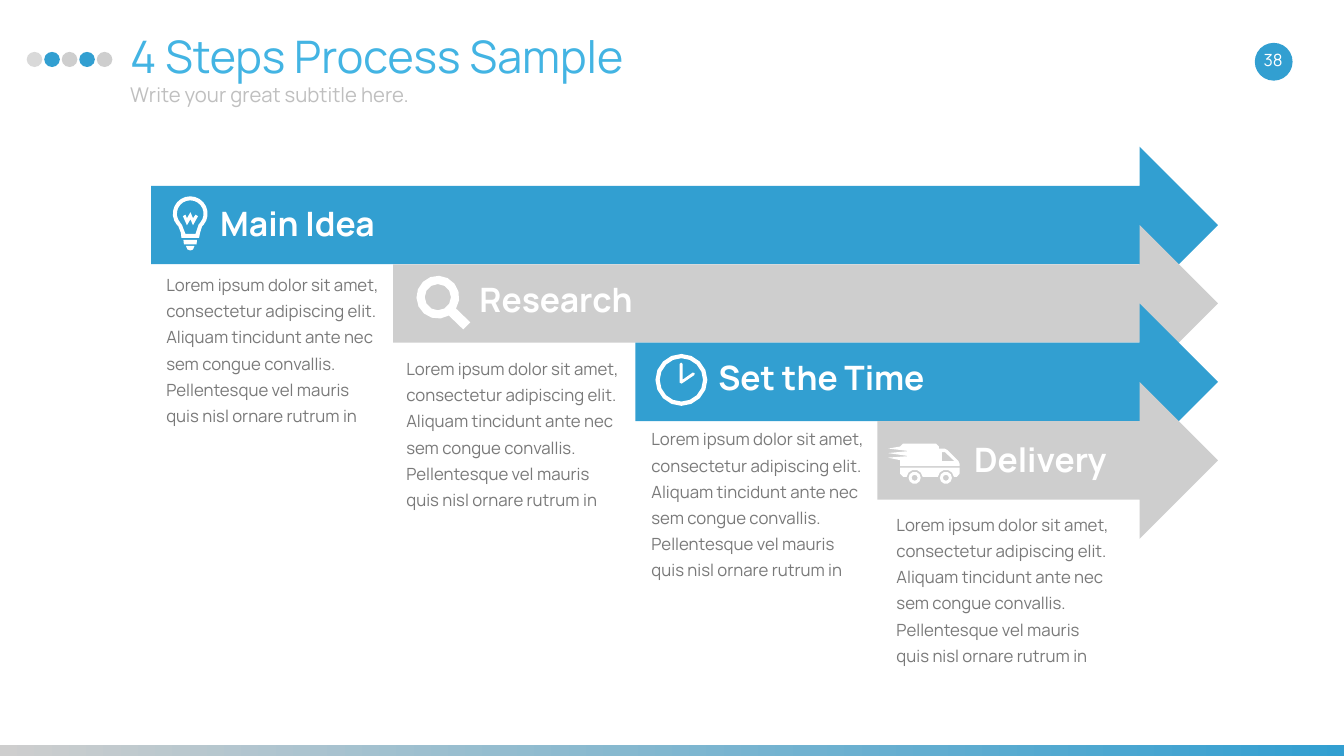
from dataclasses import dataclass
from math import cos, radians, sin

from pptx import Presentation
from pptx.dml.color import RGBColor
from pptx.enum import shapes, text
from pptx.util import Inches, Pt


@dataclass(frozen=True)
class Theme:
    font: str = "Manrope"
    blue: str = "329FD1"
    gray: str = "CECECE"
    pale: str = "D9D9D9"
    white: str = "FFFFFF"
    title: str = "43B4E3"
    subtitle: str = "BFBFBF"
    body: str = "797979"
    title_size: int = 64
    heading_size: int = 48
    subtitle_size: int = 29
    body_size: int = 24


T = Theme()
LOREM = ("Lorem ipsum dolor sit amet, consectetur adipiscing elit. Aliquam tincidunt ante nec "
         "sem congue convallis. Pellentesque vel mauris quis nisl ornare rutrum in")


def paint(sp, color):
    sp.shadow.inherit = False
    sp.fill.solid()
    sp.fill.fore_color.rgb = RGBColor.from_string(color)
    sp.line.fill.background()


def add_preset(s, kind, box, color):
    sp = s.shapes.add_shape(kind, *map(Inches, box))
    paint(sp, color)
    return sp


def add_text(s, box, words, size, color, bold=None, middle=True, center=False,
             pad=0.13, spacing=None, grow=False):
    tf = s.shapes.add_textbox(*map(Inches, box)).text_frame
    tf.word_wrap = True
    tf.auto_size = text.MSO_AUTO_SIZE.SHAPE_TO_FIT_TEXT if grow else text.MSO_AUTO_SIZE.NONE
    tf.vertical_anchor = text.MSO_ANCHOR.MIDDLE if middle else text.MSO_ANCHOR.TOP
    tf.margin_left = tf.margin_right = Inches(0.27)
    tf.margin_top = tf.margin_bottom = Inches(pad)
    p = tf.paragraphs[0]
    p.text = words
    p.alignment = text.PP_ALIGN.CENTER if center else text.PP_ALIGN.LEFT
    p.line_spacing = spacing
    p.font.name, p.font.size, p.font.bold = T.font, Pt(size), bold
    p.font.color.rgb = RGBColor.from_string(color)


def arc(cx, cy, r, start=0, end=360, steps=16):
    """Points along an arc, in clockwise degrees from the right; a full circle has no repeat."""
    count = steps if end - start == 360 else steps + 1
    angles = [radians(start + (end - start) * i / steps) for i in range(count)]
    return [(cx + r * cos(a), cy + r * sin(a)) for a in angles]


def add_icon(s, x, y, contours):
    """One white outline; inner contours become holes."""
    placed = [[(Inches(x + px), Inches(y + py)) for px, py in c] for c in contours]
    builder = s.shapes.build_freeform(*placed[0][0])
    for i, points in enumerate(placed):
        if i:
            builder.move_to(*points[0])
        builder.add_line_segments(points[1:], close=True)
    paint(builder.convert_to_shape(), T.white)


def bulb():
    cx, cy = 0.345, 0.35
    return [
        arc(cx, cy, 0.345, 140, 400) + [(0.58, 0.6), (0.54, 0.73), (0.52, 0.83),
                                        (0.17, 0.83), (0.16, 0.73), (0.11, 0.6)],
        arc(cx, cy, 0.265, 140, 400) + [(0.51, 0.57), (0.45, 0.75), (0.25, 0.75), (0.18, 0.57)],
        [(0.22, 0.96), (0.47, 0.96), (0.48, 0.87), (0.21, 0.87)],
        [(0.26, 0.99), (0.43, 0.99), (0.4, 1.06), (0.35, 1.08), (0.29, 1.06)],
        [(0.4, 0.44), (0.35, 0.32), (0.28, 0.44), (0.25, 0.37), (0.2, 0.4), (0.28, 0.58),
         (0.35, 0.46), (0.4, 0.58), (0.5, 0.4), (0.45, 0.37)],
    ]


def magnifier():
    cx, cy = 0.425, 0.42
    return [arc(cx, cy, 0.425, 59, 392, 14) + [(1.07, 0.92), (0.93, 1.06)],
            arc(cx, cy, 0.26, steps=12)]


def clock():
    c = 0.515
    hands = [(0.48, 0.2), (0.51, 0.17), (0.54, 0.2), (0.54, 0.51), (0.74, 0.37),
             (0.78, 0.38), (0.77, 0.42), (0.52, 0.59), (0.48, 0.57)]
    return [arc(c, c, 0.515), arc(c, c, 0.43), hands]


def truck():
    rear, front, axle = 0.53, 1.15, 0.68
    chassis = [(1.42, 0.48), (1.42, 0.6), (1.37, 0.66)]
    for wheel in (front, rear):
        chassis += arc(wheel, axle, 0.16, 353, 187, 5)
    chassis += [(0.3, 0.66), (0.24, 0.6), (0.24, 0.48)]
    cab = [(1.4, 0.35), (1.18, 0.13), (1.12, 0.1), (1.01, 0.1), (1.01, 0.06), (0.95, 0),
           (0.3, 0), (0.24, 0.06), (0.01, 0.1), (0.42, 0.15), (0, 0.19), (0.42, 0.25),
           (0, 0.28), (0.24, 0.33), (0.24, 0.45), (1.42, 0.45), (1.42, 0.4)]
    window = [(1.07, 0.17), (1.13, 0.17), (1.31, 0.34), (1.3, 0.35), (1.07, 0.35)]
    wheels = [arc(x, axle, r, steps=n) for x in (rear, front) for r, n in ((0.12, 10), (0.06, 8))]
    return [cab, window, chassis] + wheels


def add_header(s, x, y):
    dots = (T.pale, T.blue, T.gray, T.blue, T.gray)
    for i, color in enumerate(dots):
        add_preset(s, shapes.MSO_SHAPE.OVAL, (x + 0.3475 * i, y + 0.62, 0.31, 0.3), color)
    add_text(s, (x + 1.78, y + 0.02, 21.25, 1.6), "4 Steps Process Sample",
             T.title_size, T.title, middle=False)
    add_text(s, (x + 1.78, y + 1.09, 21.25, 0.85), "Write your great subtitle here.",
             T.subtitle_size, T.subtitle, middle=False)


def add_page_number(s, x, y):
    add_preset(s, shapes.MSO_SHAPE.OVAL, (x, y, 0.75, 0.75), T.blue)
    add_text(s, (x - 0.22, y - 0.07, 1.17, 0.8), "38", T.body_size, T.white, center=True)


def add_footer(s, y, width, height):
    bar = add_preset(s, shapes.MSO_SHAPE.RECTANGLE, (0, y, width, height), T.gray)
    bar.fill.gradient()
    bar.fill.gradient_angle = 0
    for stop, color in zip(bar.fill.gradient_stops, (T.gray, T.blue)):
        stop.color.rgb = RGBColor.from_string(color)


# heading, its width, outline, then offsets from the arrow's corner: icon, heading, paragraph
STEPS = [
    ("Main Idea", 9.35, bulb, (0.43, 0.98), (1.1, 1.12), (0.03, 2.28)),
    ("Research", 9.35, magnifier, (0.46, 1.01), (1.44, 1.06), (-0.01, 2.39)),
    ("Set the Time", 8.4, clock, (0.4, 1), (1.38, 1.06), (0.05, 2.23)),
    ("Delivery", 4.2, truck, (0.21, 1.22), (1.65, 1.12), (0.11, 2.37)),
]


def add_staircase(s, x, y, width):
    """Arrows share one right edge; each starts further right and lower."""
    height, last_left, last_top = 3.11, x + 14.41, y + 4.67
    run, rise = (last_left - x) / 3, (last_top - y) / 3
    corners = [(x + run * i, y + rise * i) for i in range(len(STEPS))]
    for i, (left, top) in enumerate(corners):
        add_preset(s, shapes.MSO_SHAPE.RIGHT_ARROW, (left, top, x + width - left, height),
                   (T.blue, T.gray)[i % 2])
    for (left, top), step in zip(corners, STEPS):
        heading, head_width, icon, icon_at, head_at, body_at = step
        add_icon(s, left + icon_at[0], top + icon_at[1], icon())
        add_text(s, (left + head_at[0], top + head_at[1], head_width, 0.81), heading,
                 T.heading_size, T.white, bold=True, pad=0, grow=True)
        add_text(s, (left + body_at[0], top + body_at[1], 4.87, 3.4), LOREM,
                 T.body_size, T.body, spacing=1.3, grow=True)


def main():
    prs = Presentation()
    prs.slide_width, prs.slide_height = Inches(26.67), Inches(15)
    s = prs.slides.add_slide(prs.slide_layouts[6])
    add_footer(s, 14.79, 26.67, 0.21)
    add_header(s, 0.53, 0.41)
    add_page_number(s, 24.9, 0.85)
    add_staircase(s, 3, 2.91, 21.17)
    prs.save("out.pptx")


if __name__ == "__main__":
    main()
